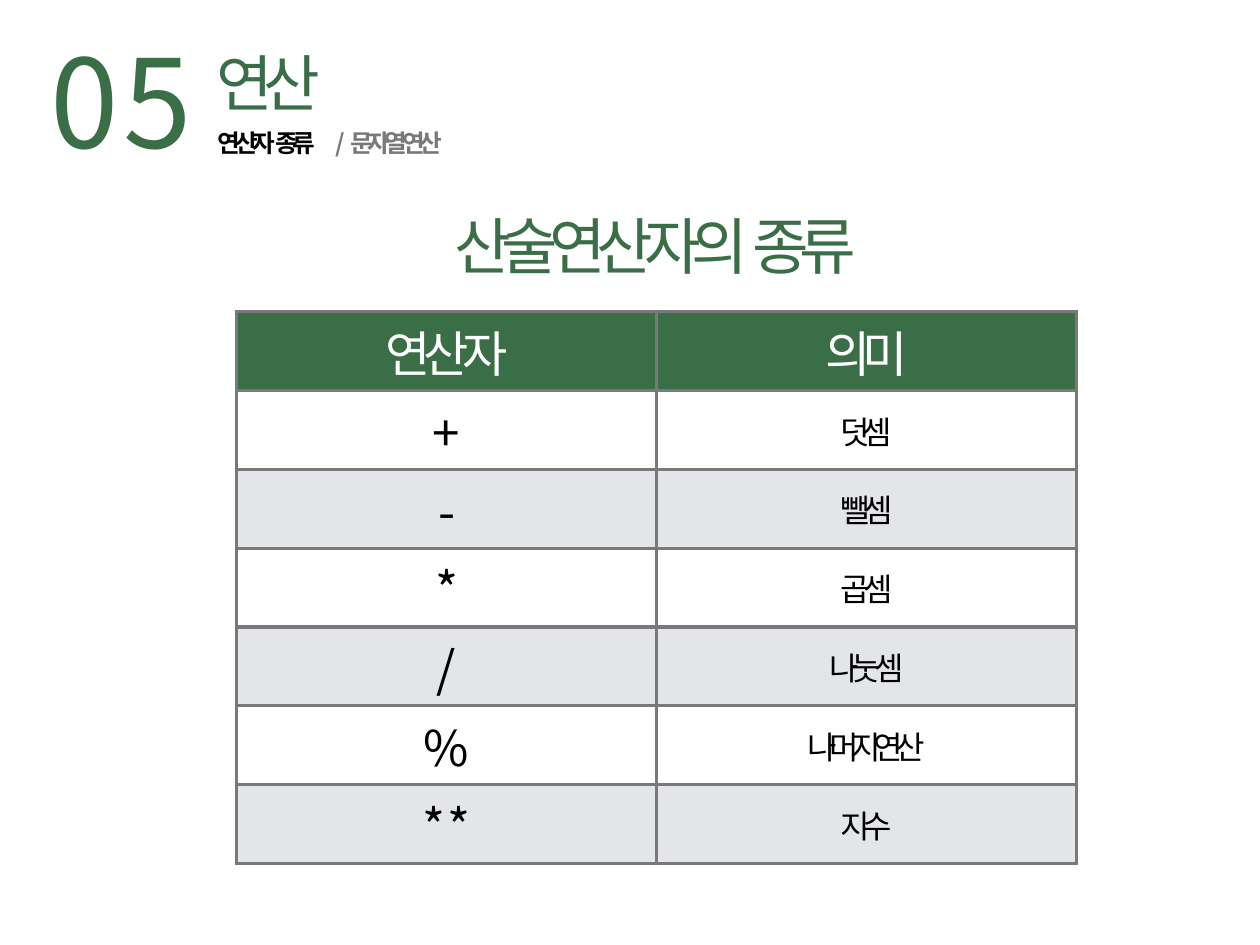
from lxml import etree
from pptx import Presentation
from pptx.dml.color import RGBColor
from pptx.enum import text as tx
from pptx.oxml import ns
from pptx.util import Inches, Pt

# Content: each run is (text, letter spacing, format overrides)
NUMBER = "05"
CHAPTER = "연산"
BREADCRUMB = [
    ("연산자 ", -4.3, {"color": "ink"}),
    ("종류\t", -4.6, {"color": "ink"}),
    ("/ ", -0.2, {"color": "grey"}),
    ("문자열 연산", -4.5, {"color": "grey"}),
]
HEADING = [("산술연산자의 ", -7.5), ("종류", -7.8)]
COLUMNS = [("연산자", -5.7), ("의미", -7)]
OPERATORS = [  # symbol, its spacing, meaning, its spacing
    ("+", 0, "덧셈", -5.8),
    ("-", 0, "뺄셈", -5.2),
    ("*", 0, "곱셈", -5.6),
    ("/", 0, "나눗셈", -5.5),
    ("%", 0, "나머지연산", -6),
    ("**", 1.4, "지수", -6.2),
]


class Theme:
    font = "Noto Sans CJK KR"
    colors = {"green": "3A6E46", "ink": "030303", "grey": "797979",
              "black": "000000", "white": "FFFFFF", "band": "E3E5E8"}
    number, title, symbol, meaning, crumb = 100, 50, 40, 26, 20
    border = 3


def rgb(name):
    return RGBColor.from_string(Theme.colors[name])


def write(paragraph, text, size, color="green", spacing=0, bold=False):
    run = paragraph.add_run()
    run.text = text
    run.font.size, run.font.bold = Pt(size), bold
    run.font.color.rgb = rgb(color)
    run.font.name = Theme.font
    props = run.font._element
    props.set("spc", str(round(spacing * 100)))
    for script in ("a:ea", "a:cs"):
        etree.SubElement(props, ns.qn(script), typeface=Theme.font)


def add_box(left, top, width, height):
    frame = slide.shapes.add_textbox(*map(Inches, (left, top, width, height))).text_frame
    frame.word_wrap = True
    frame.margin_left = frame.margin_right = frame.margin_top = frame.margin_bottom = 0
    indent(frame.paragraphs[0], 0.01)
    return frame


def indent(paragraph, inches):
    props = paragraph._p.get_or_add_pPr()
    props.set("marL", str(Inches(inches)))
    return props


def add_borders(cell):
    props = cell._tc.get_or_add_tcPr()
    for side in ("a:lnL", "a:lnR", "a:lnT", "a:lnB"):
        line = etree.SubElement(props, ns.qn(side), w=str(Pt(Theme.border)))
        solid = etree.SubElement(line, ns.qn("a:solidFill"))
        etree.SubElement(solid, ns.qn("a:srgbClr"), val=Theme.colors["grey"])


def fill_cell(cell, text, fill=None, **style):
    cell.margin_left = cell.margin_right = cell.margin_top = cell.margin_bottom = 0
    cell.vertical_anchor = tx.MSO_ANCHOR.MIDDLE
    add_borders(cell)
    if fill:
        cell.fill.solid()
        cell.fill.fore_color.rgb = rgb(fill)
    else:
        cell.fill.background()
    paragraph = cell.text_frame.paragraphs[0]
    paragraph.alignment = tx.PP_ALIGN.CENTER
    write(paragraph, text, **style)


prs = Presentation()
prs.slide_width, prs.slide_height = Inches(14.22), Inches(10.67)
slide = prs.slides.add_slide(prs.slide_layouts[6])

# Chapter number, title and breadcrumb
number = add_box(0.56, 0.29, 1.66, 1.82)
write(number.paragraphs[0], NUMBER, Theme.number, spacing=3.6)

chapter = add_box(2.43, 0.51, 2.68, 1.29)
write(chapter.paragraphs[0], CHAPTER, Theme.title, spacing=-7.2)
breadcrumb = chapter.add_paragraph()
tabs = etree.SubElement(indent(breadcrumb, 0.03), ns.qn("a:tabLst"))
etree.SubElement(tabs, ns.qn("a:tab"), pos=str(Inches(1.33)), algn="l")
breadcrumb.space_before = Pt(7)
for words, spacing, style in BREADCRUMB:
    write(breadcrumb, words, Theme.crumb, spacing=spacing, bold=True, **style)

# Operator table
row_count = len(OPERATORS) + 1
operators = slide.shapes.add_table(row_count, len(COLUMNS), Inches(2.67), Inches(3.52),
                                   Inches(9.48), Inches(0.89 * row_count)).table
operators.first_row = operators.horz_banding = False
for column, (label, spacing) in enumerate(COLUMNS):
    fill_cell(operators.cell(0, column), label, fill="green", size=Theme.symbol,
              color="white", spacing=spacing)
for row, (symbol, symbol_gap, meaning, meaning_gap) in enumerate(OPERATORS, 1):
    band = "band" if row % 2 == 0 else None
    fill_cell(operators.cell(row, 0), symbol, fill=band, size=Theme.symbol,
              color="black", spacing=symbol_gap)
    fill_cell(operators.cell(row, 1), meaning, fill=band, size=Theme.meaning,
              color="black", spacing=meaning_gap)

# Table heading
heading = add_box(5.12, 2.35, 5.17, 0.84)
for words, spacing in HEADING:
    write(heading.paragraphs[0], words, Theme.title, spacing=spacing)

prs.save("out.pptx")
